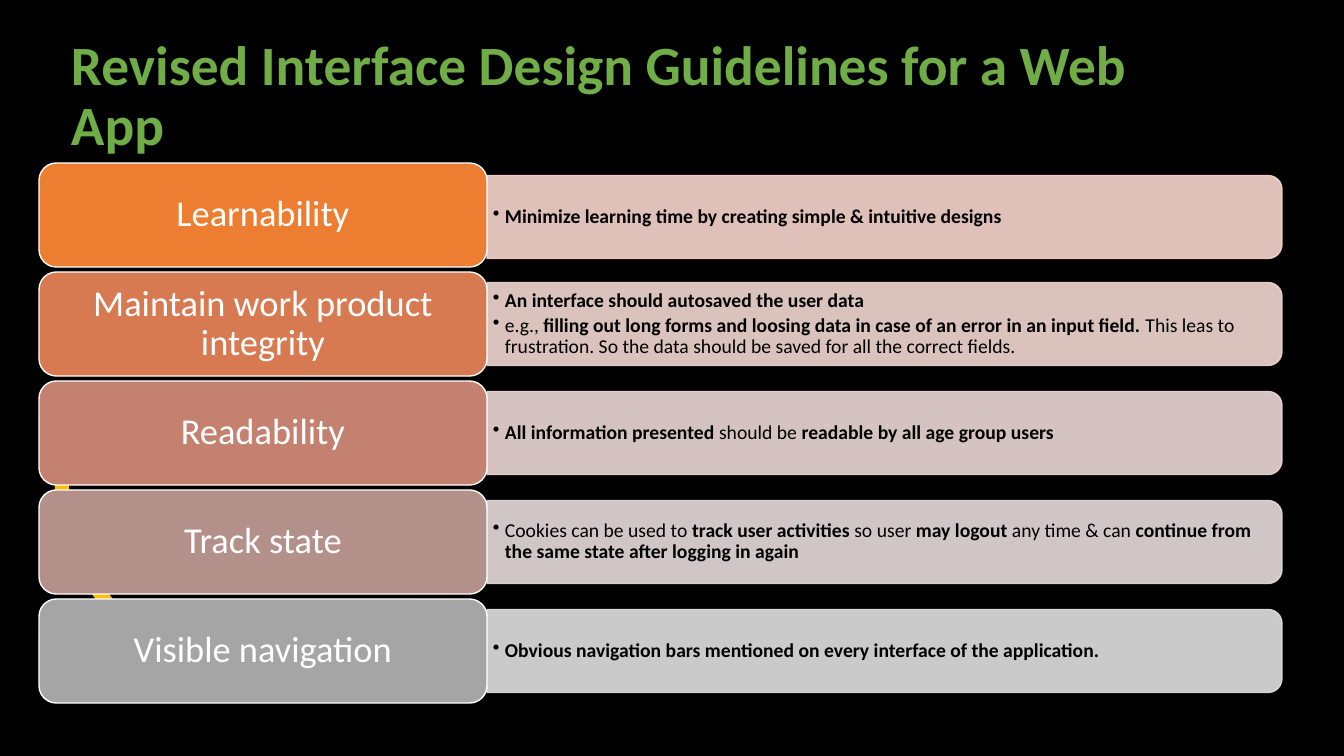
"""Build the slide of revised interface design guidelines for a web app."""
from lxml import etree
from pptx import Presentation
from pptx.dml.color import RGBColor
from pptx.enum.dml import MSO_LINE
from pptx.enum.shapes import MSO_SHAPE as Shape
from pptx.enum.text import MSO_ANCHOR as Anchor, PP_ALIGN as Align
from pptx.oxml.ns import qn
from pptx.util import Pt

TITLE = "Revised Interface Design Guidelines for a Web App"
GUIDELINES = [
    {"name": "Learnability", "card": "ED7D31", "bar": "F8D7CE", "drop": 2,
     "points": [[("Minimize learning time by creating simple & intuitive designs", True)]]},
    {"name": "Maintain work product integrity", "card": "D87A51", "bar": "F2D8D2", "drop": 0,
     "points": [
         [("An interface should autosaved the user data", True)],
         [("e.g., ", False),
          ("filling out long forms and loosing data in case of an error in an input field.", True),
          (" This leas to frustration. So the data should be saved for all the correct fields.",
           False)]]},
    {"name": "Readability", "card": "C48170", "bar": "EDD9D7", "drop": 0,
     "points": [[("All information presented ", True), ("should be ", False),
                 ("readable by all age group users", True)]]},
    {"name": "Track state", "card": "B4908B", "bar": "E7DCDC", "drop": 0,
     "points": [[("Cookies can be used to ", False), ("track user activities ", True),
                 ("so user ", False), ("may logout ", True), ("any time & can ", False),
                 ("continue from the same state after logging in again", True)]]},
    {"name": "Visible navigation", "card": "A5A5A5", "bar": "E1E1E1", "drop": 0,
     "points": [[("Obvious navigation bars mentioned on every interface of the application.",
                  True)]]},
]

FONT = "Calibri"
SLIDE_W, SLIDE_H = 1344, 756
CARD_LEFT, CARD_TOP, CARD_W, CARD_H, PITCH = 39, 163, 448, 104, 109
BAR_LEFT, BAR_W, BAR_H = CARD_LEFT + CARD_W, 795, 83
POINTS_W, POINTS_H, HANGING = 791, 75, 12


def px(length):
    return round(length * 914400 / 100.8)


def rgb(code):
    return RGBColor.from_string(code)


def add_shape(kind, left, top, width, height, fill=None, line=None, weight=1):
    shape = slide.shapes.add_shape(kind, px(left), px(top), px(width), px(height))
    shape.shadow.inherit = False
    if fill:
        shape.fill.solid()
        shape.fill.fore_color.rgb = rgb(fill)
    else:
        shape.fill.background()
    if line:
        shape.line.color.rgb = rgb(line)
        shape.line.width = Pt(weight)
    else:
        shape.line.fill.background()
    return shape


def add_textbox(left, top, width, height):
    return slide.shapes.add_textbox(px(left), px(top), px(width), px(height)).text_frame


def set_frame(frame, side, edge):
    frame.word_wrap = True
    frame.vertical_anchor = Anchor.MIDDLE
    frame.margin_left = frame.margin_right = px(side)
    frame.margin_top = frame.margin_bottom = px(edge)


def style_run(run, size, color, bold=False):
    run.font.name, run.font.size, run.font.bold = FONT, Pt(size), bold
    run.font.color.rgb = rgb(color)


def set_line(frame, text, size, color, bold=False):
    frame.text = text
    paragraph = frame.paragraphs[0]
    paragraph.line_spacing = 0.9
    style_run(paragraph.runs[0], size, color, bold)
    return paragraph


def add_bullet(paragraph):
    properties = paragraph._p.get_or_add_pPr()
    properties.set("marL", str(px(HANGING)))
    properties.set("indent", str(-px(HANGING)))
    etree.SubElement(properties, qn("a:buChar")).set("char", "•")


def add_bar(middle, color):
    bar = add_shape(Shape.ROUND_2_SAME_RECTANGLE, BAR_LEFT + (BAR_W - BAR_H) / 2,
                    middle - BAR_W / 2, BAR_H, BAR_W, color, color)
    bar.rotation = 90
    for tint in bar.element.spPr.iter(qn("a:srgbClr")):
        etree.SubElement(tint, qn("a:alpha")).set("val", "90000")


def add_points(middle, points):
    frame = add_textbox(BAR_LEFT, middle - POINTS_H / 2, POINTS_W, POINTS_H)
    set_frame(frame, 6, 3)
    for index, point in enumerate(points):
        paragraph = frame.add_paragraph() if index else frame.paragraphs[0]
        add_bullet(paragraph)
        paragraph.level = 1
        paragraph.line_spacing = 0.9
        paragraph.space_after = Pt(2.5)
        for words, bold in point:
            run = paragraph.add_run()
            run.text = words
            style_run(run, 14, "000000", bold)


def add_card(top, name, color):
    card = add_shape(Shape.ROUNDED_RECTANGLE, CARD_LEFT, top, CARD_W, CARD_H, color, "FFFFFF")
    set_frame(card.text_frame, 11, 5)
    set_line(card.text_frame, name, 26, "FFFFFF").alignment = Align.CENTER


deck = Presentation()
deck.slide_width, deck.slide_height = px(SLIDE_W), px(SLIDE_H)
slide = deck.slides.add_slide(deck.slide_layouts[6])
slide.background.fill.solid()
slide.background.fill.fore_color.rgb = rgb("D6DCE5")

add_shape(Shape.RECTANGLE, 0, -1, SLIDE_W, SLIDE_H + 1, "000000")
arc = add_shape(Shape.ARC, 61, 241, 451, 451, line="FFC000", weight=10)
arc.line.dash_style = MSO_LINE.DASH
arc.rotation = 90
arc.element.spPr.xfrm.set("flipV", "1")

for row, guideline in enumerate(GUIDELINES):
    card_top = CARD_TOP + row * PITCH
    bar_middle = card_top + CARD_H / 2 + guideline["drop"]
    add_bar(bar_middle, guideline["bar"])
    add_points(bar_middle, guideline["points"])
    add_card(card_top, guideline["name"], guideline["card"])

heading = add_textbox(61, 66, 1159, 63)
set_frame(heading, 10, 5)
set_line(heading, TITLE, 39.6, "70AD47", True)

deck.save("out.pptx")
